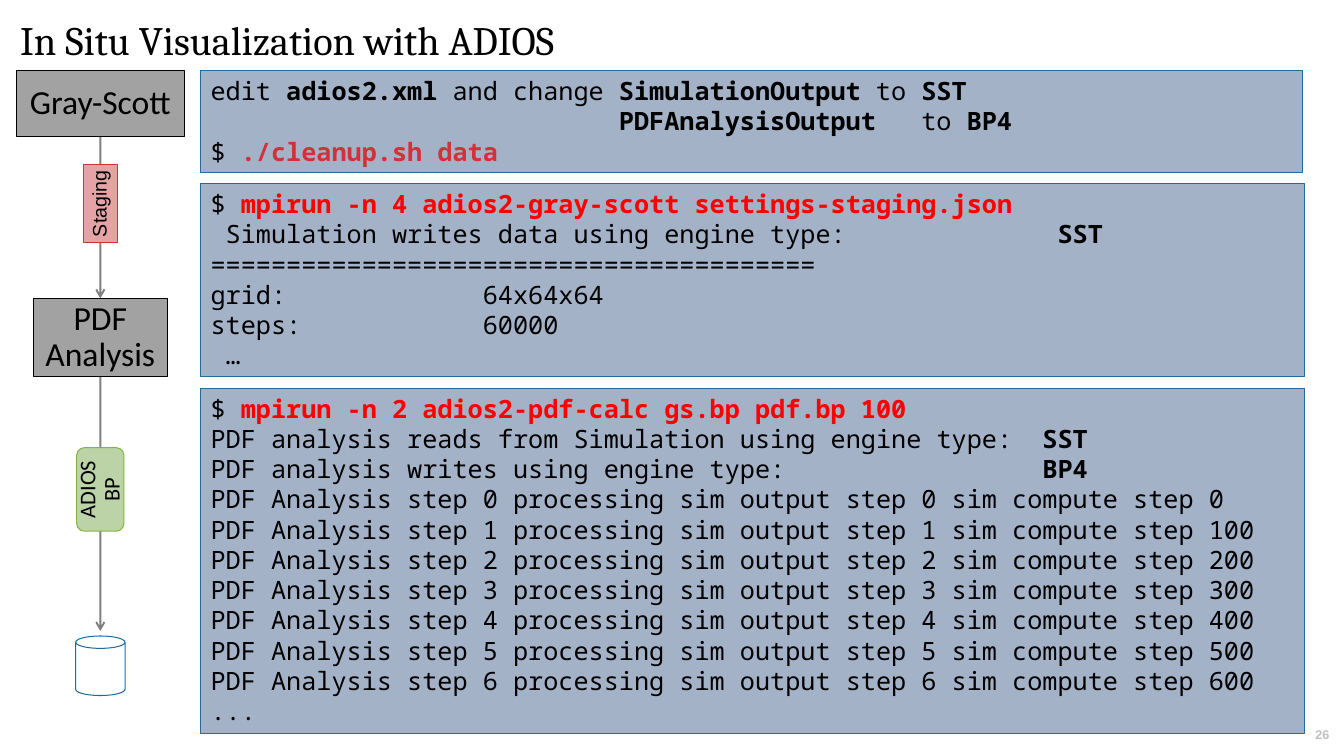
from dataclasses import dataclass

from lxml import etree
from pptx import Presentation
from pptx.dml.color import RGBColor
from pptx.enum.shapes import MSO_CONNECTOR, MSO_SHAPE
from pptx.enum.text import MSO_ANCHOR, MSO_AUTO_SIZE, PP_ALIGN
from pptx.oxml.ns import qn
from pptx.util import Inches, Pt

RECT, ROUNDED, CAN = MSO_SHAPE.RECTANGLE, MSO_SHAPE.ROUNDED_RECTANGLE, MSO_SHAPE.CAN
LEFT, CENTER = PP_ALIGN.LEFT, PP_ALIGN.CENTER
TOP, MIDDLE = MSO_ANCHOR.TOP, MSO_ANCHOR.MIDDLE
STRAIGHT = MSO_CONNECTOR.STRAIGHT
NO_FIT = MSO_AUTO_SIZE.NONE
TITLE_ONLY = 5


@dataclass(frozen=True)
class Theme:
    ink: str = "000000"
    white: str = "FFFFFF"
    muted: str = "BFBFBF"
    terminal: str = "A3B2C7"
    blue: str = "206C9E"
    command: str = "FF0000"
    red: str = "D33139"
    pink: str = "E4A4A6"
    gray: str = "A2A2A2"
    green: str = "84B641"
    light_green: str = "BBD3A7"
    serif: str = "Cambria"
    sans: str = "Calibri"
    plain: str = "Arial"
    mono: str = "Noto Sans Mono"
    title_size: float = 28.8
    node_size: float = 24
    code_size: float = 18
    store_size: float = 16
    staging_size: float = 14
    number_size: float = 9
    border: float = 0.75
    arrow: float = 1.35
    inset: float = 0.05


THEME = Theme()
CHARACTER = THEME.code_size * 0.6 / 72  # width of one terminal column

# Terminal lines: (tab columns, spans); a span is (text, colour, bold)


def normal(text):
    return text, THEME.ink, False


def strong(text):
    return text, THEME.ink, True


def command(text, color=THEME.command):
    return (), [normal("$ "), (text, color, True)]


EDIT_LINES = [
    ((), [normal("edit "), strong("adios2.xml"), normal(" and change "),
          strong("SimulationOutput"), normal(" to "), strong("SST")]),
    ((27, 47), [strong("\tPDFAnalysisOutput"), normal("\tto "), strong("BP4")]),
    command("./cleanup.sh data", THEME.red),
]
SIMULATION_LINES = [
    command("mpirun -n 4 adios2-gray-scott settings-staging.json"),
    ((56,), [normal(" Simulation writes data using engine type:\t"), strong("SST")]),
    ((), [normal("=" * 40)]),
    ((18,), [normal("grid:\t64x64x64")]),
    ((18,), [normal("steps:\t60000")]),
    ((), [normal(" …")]),
]
ANALYSIS_LINES = [
    command("mpirun -n 2 adios2-pdf-calc gs.bp pdf.bp 100"),
    ((55,), [normal("PDF analysis reads from Simulation using engine type:\t"), strong("SST")]),
    ((55,), [normal("PDF analysis writes using engine type:\t"), strong("BP4")]),
    *[((), [normal(f"PDF Analysis step {step} processing sim output step {step} "
                   f"sim compute step {step * 100}")]) for step in range(7)],
    ((), [normal("...")]),
]


def add_span(para, text, font, size, color=THEME.ink, bold=False):
    span = para.add_run()
    span.text = text
    span.font.name, span.font.size, span.font.bold = font, Pt(size), bold
    span.font.color.rgb = RGBColor.from_string(color)


def set_frame(frame, anchor, inset=THEME.inset, wrap=True):
    frame.auto_size, frame.word_wrap, frame.vertical_anchor = NO_FIT, wrap, anchor
    frame.margin_left = frame.margin_right = Inches(inset)
    frame.margin_top = frame.margin_bottom = Inches(inset)


def add_label(frame, text, font, size, align=CENTER, **look):
    para = frame.paragraphs[0]
    para.alignment, para.line_spacing = align, 0.9
    add_span(para, text, font, size, **look)


def add_box(page, kind, box, fill, line):
    shape = page.shapes.add_shape(kind, *map(Inches, box))
    shape.shadow.inherit = False
    shape.fill.solid()
    shape.fill.fore_color.rgb = RGBColor.from_string(fill)
    shape.line.color.rgb = RGBColor.from_string(line)
    shape.line.width = Pt(THEME.border)
    return shape


def add_node(page, kind, box, fill, line, text, font, size, turn=0, wrap=True):
    shape = add_box(page, kind, box, fill, line)
    shape.rotation = turn
    set_frame(shape.text_frame, MIDDLE, wrap=wrap)
    add_label(shape.text_frame, text, font, size)


def add_arrow(page, x, top, bottom):
    arrow = page.shapes.add_connector(STRAIGHT, *map(Inches, (x, top, x, bottom)))
    arrow.line.width = Pt(THEME.arrow)
    arrow.line.color.rgb = RGBColor.from_string(THEME.ink)
    line = arrow.line._ln
    color = line.find(".//" + qn("a:srgbClr"))
    etree.SubElement(color, qn("a:alpha"), val="50000")
    etree.SubElement(line, qn("a:tailEnd"), type="arrow")
    etree.SubElement(arrow._element.spPr, qn("a:effectLst"))


def add_title(page, box, text):
    title = page.shapes.title
    title.left, title.top, title.width, title.height = map(Inches, box)
    set_frame(title.text_frame, TOP)
    add_label(title.text_frame, text, THEME.serif, THEME.title_size, LEFT)


def add_terminal(page, box, lines):
    frame = add_box(page, RECT, box, THEME.terminal, THEME.blue).text_frame
    set_frame(frame, TOP)
    frame.margin_left = frame.margin_right = Inches(0.1)
    for index, (columns, spans) in enumerate(lines):
        para = frame.add_paragraph() if index else frame.paragraphs[0]
        para.alignment = LEFT
        if columns:
            stops = etree.SubElement(para._p.get_or_add_pPr(), qn("a:tabLst"))
            for column in columns:
                etree.SubElement(stops, qn("a:tab"), algn="l",
                                 pos=str(Inches(column * CHARACTER)))
        for text, color, bold in spans:
            add_span(para, text, THEME.mono, THEME.code_size, color, bold)


def add_workflow(page, box):
    left, top, width, height = box
    middle = left + width / 2

    def centered(offset, part_width, part_height):
        return middle - part_width / 2, top + offset, part_width, part_height

    # Arrows behind the stages
    add_arrow(page, middle, top + 0.65, top + 2.26)
    add_arrow(page, middle, top + 3.04, top + height - 0.64)

    # Programs
    for text, place in (("Gray-Scott", centered(0, width, 0.65)),
                        ("PDF Analysis", centered(2.26, 1.33, 0.78))):
        add_node(page, RECT, place, THEME.gray, THEME.ink, text, THEME.sans, THEME.node_size)

    # Data passed between them, turned to read upwards
    add_node(page, RECT, centered(1.15, 0.77, 0.34), THEME.pink, THEME.red,
             "Staging", THEME.plain, THEME.staging_size, 270, wrap=False)
    add_node(page, ROUNDED, centered(3.92, 0.83, 0.47), THEME.light_green, THEME.green,
             "ADIOS BP", THEME.sans, THEME.store_size, 270)

    # Storage
    add_box(page, CAN, centered(height - 0.59, 0.49, 0.59), THEME.white, THEME.blue)


def add_page_number(page, box, number):
    frame = page.shapes.add_textbox(*map(Inches, box)).text_frame
    set_frame(frame, MIDDLE, inset=0)
    add_label(frame, number, THEME.plain, THEME.number_size, color=THEME.muted, bold=True)


def main():
    deck = Presentation()
    deck.slide_width, deck.slide_height = Inches(13.33), Inches(7.5)
    page = deck.slides.add_slide(deck.slide_layouts[TITLE_ONLY])
    add_title(page, (0.15, 0.15, 13.01, 0.55), "In Situ Visualization with ADIOS")
    add_workflow(page, (0.16, 0.7, 1.67, 6.2))

    # Terminals stacked with an even gap
    top = 0.7
    for lines, width, height in ((EDIT_LINES, 10.93, 1.01),
                                 (SIMULATION_LINES, 10.95, 1.92),
                                 (ANALYSIS_LINES, 10.95, 3.43)):
        add_terminal(page, (1.99, top, width, height), lines)
        top += height + 0.11

    add_page_number(page, (12.96, 7.21, 0.31, 0.17), "26")
    deck.save("out.pptx")


if __name__ == "__main__":
    main()
